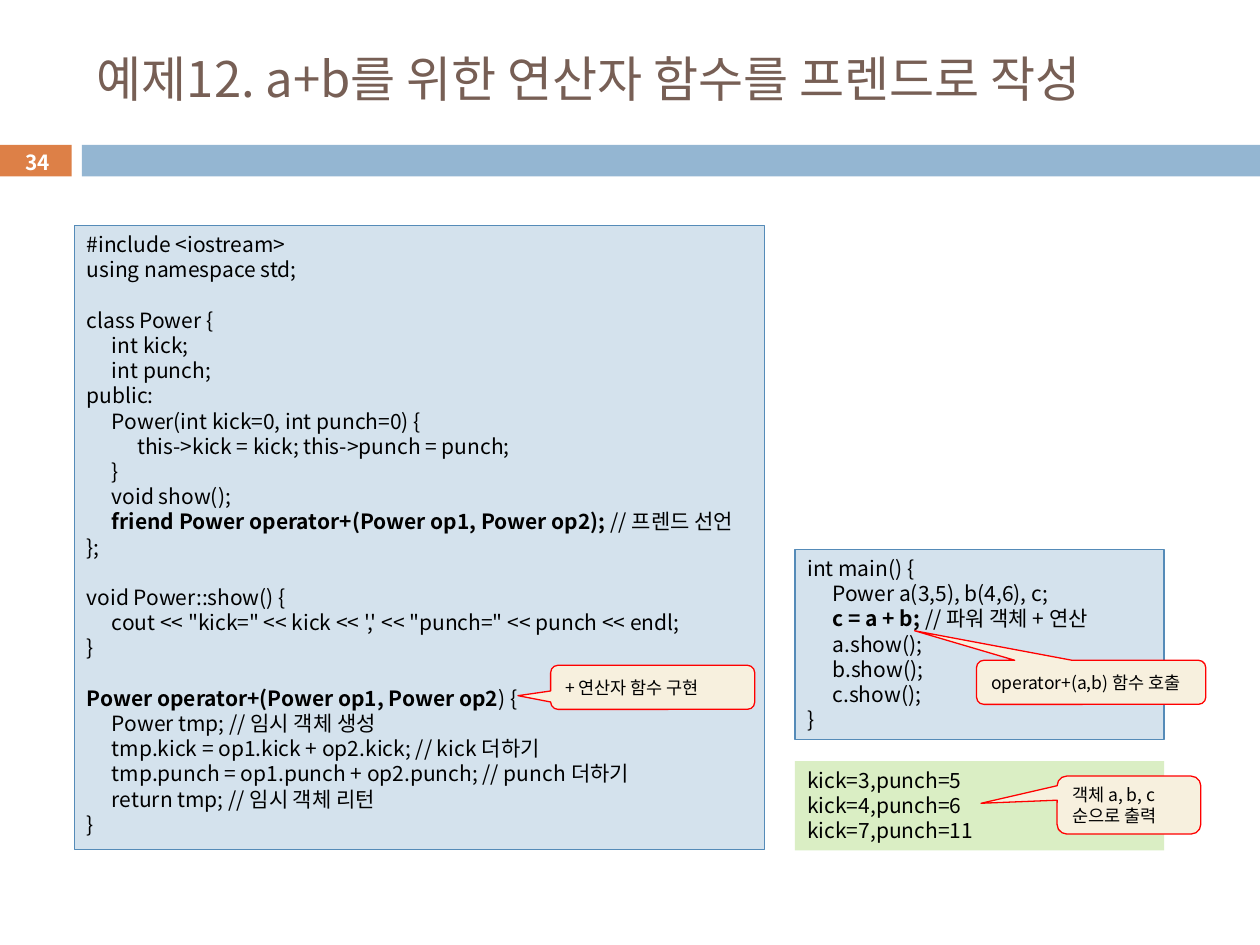
import pptx
import pptx.dml.color
import pptx.enum.shapes
import pptx.enum.text
import pptx.oxml
import pptx.oxml.ns
import pptx.util
from pptx.util import Inches

FONT = "Noto Sans CJK KR"
COLORS = {
    "orange": "DD8047", "bar": "94B6D2", "title": "775F55", "white": "FFFFFF",
    "black": "000000", "code": "D4E2ED", "code_line": "558BB8",
    "output": "DAEEC4", "callout": "F7F0DE", "red": "FF0000",
}
RECT = pptx.enum.shapes.MSO_SHAPE.RECTANGLE
CALLOUT = pptx.enum.shapes.MSO_SHAPE.ROUNDED_RECTANGULAR_CALLOUT
TOP = pptx.enum.text.MSO_ANCHOR.TOP
MIDDLE = pptx.enum.text.MSO_ANCHOR.MIDDLE
LEFT = pptx.enum.text.PP_ALIGN.LEFT
CENTER = pptx.enum.text.PP_ALIGN.CENTER

CLASS_CODE = """#include <iostream>
using namespace std;

class Power {
\tint kick;
\tint punch;
public:
\tPower(int kick=0, int punch=0) {
\t\tthis->kick = kick; this->punch = punch;
\t}
\tvoid show();
\t**friend Power operator+(Power op1, Power op2);** // 프렌드 선언
};

void Power::show() {
\tcout << "kick=" << kick << ',' << "punch=" << punch << endl;
}

**Power operator+(Power op1, Power op2**) {
\tPower tmp; // 임시 객체 생성
\ttmp.kick = op1.kick + op2.kick; // kick 더하기
\ttmp.punch = op1.punch + op2.punch; // punch 더하기
\treturn tmp; // 임시 객체 리턴
}"""

MAIN_CODE = """int main() {
\tPower a(3,5), b(4,6), c;
\t**c = a + b; **// 파워 객체 + 연산
\ta.show();
\tb.show();
\tc.show();
}"""

OUTPUT = """kick=3,punch=5
kick=4,punch=6
kick=7,punch=11"""


def add_box(shape, left, top, width, height, fill, line=None):
    sp = s.shapes.add_shape(shape, Inches(left), Inches(top), Inches(width), Inches(height))
    sp.shadow.inherit = False
    sp.fill.solid()
    sp.fill.fore_color.rgb = pptx.dml.color.RGBColor.from_string(COLORS[fill])
    if line:
        sp.line.color.rgb = pptx.dml.color.RGBColor.from_string(COLORS[line])
        sp.line.width = pptx.util.Pt(0.75)
    else:
        sp.line.fill.background()
    return sp


def write(sp, text, size, color="black", anchor=MIDDLE, align=LEFT, spacing=None):
    """Fill a shape with text; ** switches bold on and off, tabs stop every 0.2 inch."""
    tf = sp.text_frame
    tf.word_wrap = True
    tf.vertical_anchor = anchor
    tf.text = text
    for p in tf.paragraphs:
        parts = p.text.split("**")
        p.text = parts[0]
        for part in parts[1:]:
            p.add_run().text = part
        p.alignment = align
        if spacing:
            p.line_spacing = pptx.util.Pt(spacing)
        if "\t" in text:
            tabs = pptx.oxml.parse_xml(f'<a:tabLst {pptx.oxml.ns.nsdecls("a")}/>')
            for stop in (0.2, 0.4):
                tab = pptx.oxml.parse_xml(f'<a:tab {pptx.oxml.ns.nsdecls("a")} algn="l"/>')
                tab.set("pos", str(Inches(stop)))
                tabs.append(tab)
            p._p.get_or_add_pPr().append(tabs)
        bold_runs = p.runs[1::2] if parts[0] else p.runs[-len(parts) + 1::2]
        for r in p.runs:
            r.font.size = pptx.util.Pt(size)
            r.font.name = FONT
            r.font.color.rgb = pptx.dml.color.RGBColor.from_string(COLORS[color])
            r.font.bold = len(parts) > 1 and any(r._r is b._r for b in bold_runs)
            ea = pptx.oxml.parse_xml(f'<a:ea {pptx.oxml.ns.nsdecls("a")} typeface="{FONT}"/>')
            r._r.rPr.append(ea)


prs = pptx.Presentation()
prs.slide_width, prs.slide_height = Inches(10), Inches(7.5)
s = prs.slides.add_slide(prs.slide_layouts[6])

# Title and header band
add_box(RECT, 0, 1.15, 0.57, 0.25, "orange")
add_box(RECT, 0.65, 1.15, 9.35, 0.25, "bar")
title = s.shapes.add_textbox(Inches(0.67), Inches(0.25), Inches(8.92), Inches(0.74))
write(title, "예제12. a+b를 위한 연산자 함수를 프렌드로 작성", 28, "title")
number = s.shapes.add_textbox(Inches(0.01), Inches(1.15), Inches(0.58), Inches(0.27))
write(number, "**34**", 11.9, "white", align=CENTER)

# Code and program output
for text, place, fill, line in (
    (CLASS_CODE, (0.59, 1.79, 5.48, 4.95), "code", "code_line"),
    (MAIN_CODE, (6.31, 4.36, 2.93, 1.51), "code", "code_line"),
    (OUTPUT, (6.31, 6.04, 2.93, 0.71), "output", None),
):
    write(add_box(RECT, *place, fill, line), text, 12, anchor=TOP, spacing=14.4)

# Callouts, each with the offset of its tip
for text, place, tip in (
    ("+ 연산자 함수 구현", (4.37, 5.28, 1.62, 0.35), (-0.66, 0.19)),
    ("객체 a, b, c 순으로 출력", (8.39, 6.16, 1.14, 0.46), (-1.03, -0.03)),
    ("operator+(a,b) 함수 호출", (7.75, 5.24, 1.82, 0.35), (-0.77, -1.17)),
):
    sp = add_box(CALLOUT, *place, "callout", "red")
    sp.adjustments[0], sp.adjustments[1] = tip
    write(sp, text, 10, spacing=12)

prs.save("out.pptx")
